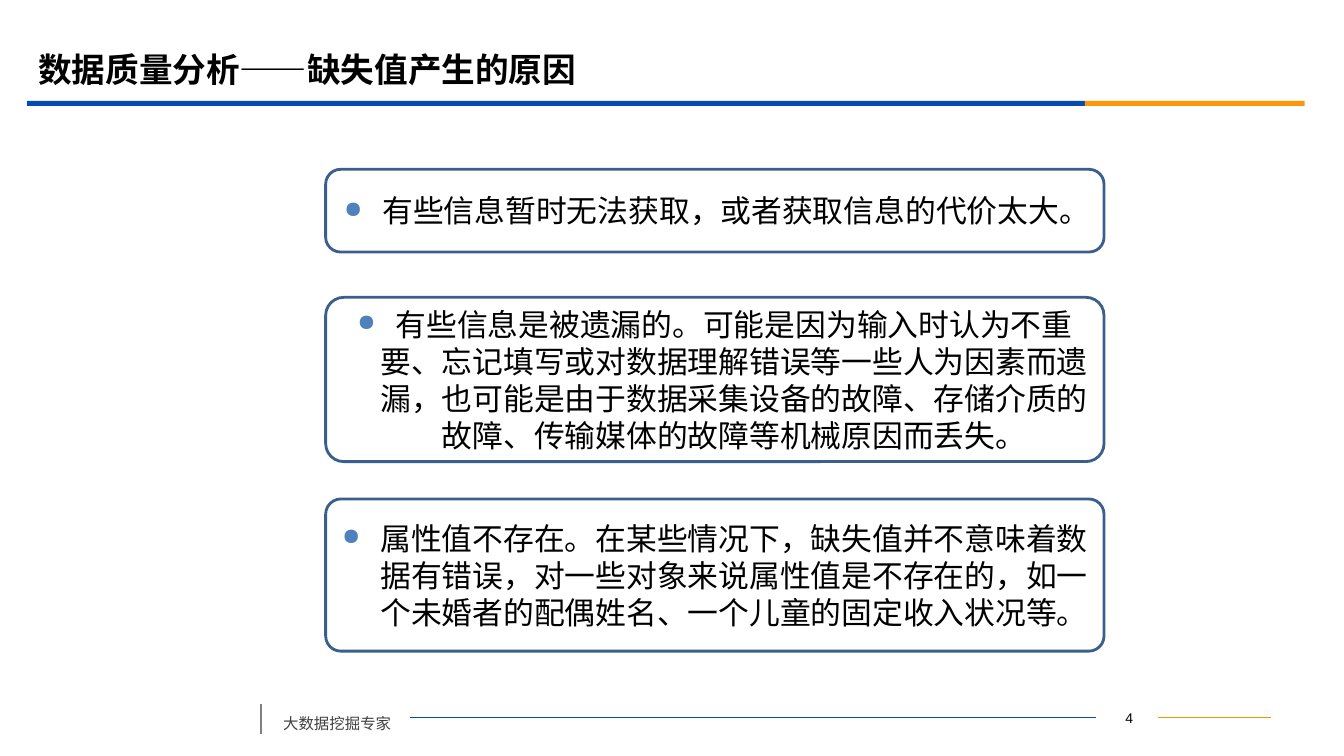
import dataclasses

import lxml.etree
import pptx
import pptx.dml.color
import pptx.enum.shapes
import pptx.enum.text
import pptx.oxml
import pptx.oxml.ns
import pptx.util

Inches = pptx.util.Inches
Pt = pptx.util.Pt
Align = pptx.enum.text.PP_ALIGN
Anchor = pptx.enum.text.MSO_ANCHOR
Shape = pptx.enum.shapes.MSO_SHAPE
qn = pptx.oxml.ns.qn

SANS = "Noto Sans CJK SC"
COLORS = {
    "blue": "064BB2",
    "orange": "FB9708",
    "amber": "F19500",
    "gray": "808080",
    "dark": "404040",
    "black": "000000",
    "frame": "3A5F8C",
    "bullet": "4F81BD",
}


@dataclasses.dataclass
class Bar:
    left: float
    width: float
    color: str


@dataclasses.dataclass
class Rule:
    start: tuple[float, float]
    end: tuple[float, float]
    color: str
    weight: float


@dataclasses.dataclass
class Cause:
    top: float
    height: float
    round: float
    align: Align
    text: str


BARS = [Bar(0.27, 10.49, "blue"), Bar(10.76, 2.18, "orange")]
RULES = [
    Rule((11.49, 7.12), (12.61, 7.12), "amber", 0.75),
    Rule((4.07, 7.12), (10.87, 7.12), "blue", 0.75),
    Rule((2.59, 6.98), (2.59, 7.28), "gray", 1.25),
]
CAUSES = [
    Cause(1.68, 0.82, 0.18, Align.RIGHT,
          "有些信息暂时无法获取，或者获取信息的代价太大。"),
    Cause(2.95, 1.63, 0.11, Align.CENTER,
          "有些信息是被遗漏的。可能是因为输入时认为不重要、忘记填写或对数据理解错误等一些人为因素而遗漏，"
          "也可能是由于数据采集设备的故障、存储介质的故障、传输媒体的故障等机械原因而丢失。"),
    Cause(4.95, 1.51, 0.1, Align.CENTER,
          "属性值不存在。在某些情况下，缺失值并不意味着数据有错误，对一些对象来说属性值是不存在的，"
          "如一个未婚者的配偶姓名、一个儿童的固定收入状况等。"),
]


def tint(name: str) -> pptx.dml.color.RGBColor:
    return pptx.dml.color.RGBColor.from_string(COLORS[name])


def style(para, face: str, size: float, color: str, bold: bool = False) -> None:
    font = para.font
    font.name, font.size, font.bold = face, Pt(size), bold
    font.color.rgb = tint(color)
    if face == SANS:
        props = para._p.pPr.find(qn("a:defRPr"))
        lxml.etree.SubElement(props, qn("a:ea"), typeface=face)


def add_dot(para) -> None:
    props = para._p.get_or_add_pPr()
    props.set("marL", str(Inches(0.38)))
    props.set("indent", str(Inches(-0.38)))
    props.set("hangingPunct", "0")
    color = lxml.etree.SubElement(props, qn("a:buClr"))
    lxml.etree.SubElement(color, qn("a:srgbClr"), val=COLORS["bullet"])
    lxml.etree.SubElement(props, qn("a:buSzPct"), val="75000")
    lxml.etree.SubElement(props, qn("a:buChar"), char="●")


def add_bar(slide, bar: Bar) -> None:
    shape = slide.shapes.add_shape(
        Shape.RECTANGLE, Inches(bar.left), Inches(1), Inches(bar.width), Inches(0.05))
    shape.shadow.inherit = False
    shape.fill.solid()
    shape.fill.fore_color.rgb = tint(bar.color)
    shape.line.fill.background()


def add_rule(slide, rule: Rule) -> None:
    points = [Inches(value) for value in rule.start + rule.end]
    line = slide.shapes.add_connector(pptx.enum.shapes.MSO_CONNECTOR.STRAIGHT, *points)
    line.line.color.rgb = tint(rule.color)
    line.line.width = Pt(rule.weight)
    lxml.etree.SubElement(line._element.spPr, qn("a:effectLst"))


def add_text(slide, left: float, top: float, width: float, height: float, text: str):
    box = slide.shapes.add_textbox(
        Inches(left), Inches(top), Inches(width), Inches(height))
    box.text_frame.word_wrap = True
    box.text_frame.text = text
    return box.text_frame


def add_cause(slide, cause: Cause) -> None:
    shape = slide.shapes.add_shape(
        Shape.ROUNDED_RECTANGLE,
        Inches(3.23), Inches(cause.top), Inches(7.72), Inches(cause.height))
    shape.adjustments[0] = cause.round
    shape.shadow.inherit = False
    shape.fill.background()
    shape.line.color.rgb = tint("frame")
    shape.line.width = Pt(2)
    frame = shape.text_frame
    frame.word_wrap = True
    frame.vertical_anchor = Anchor.MIDDLE
    frame.text = cause.text
    para = frame.paragraphs[0]
    para.alignment = cause.align
    add_dot(para)
    style(para, SANS, 22, "black")


def add_title(slide) -> None:
    title = slide.shapes.title
    title.left, title.top = Inches(0.28), Inches(0.4)
    title.width, title.height = Inches(12), Inches(0.58)
    frame = title.text_frame
    frame.text = "数据质量分析——缺失值产生的原因"
    frame.vertical_anchor = Anchor.MIDDLE
    para = frame.paragraphs[0]
    para.alignment = Align.LEFT
    style(para, "Times New Roman", 24, "black", True)


def add_footer(slide) -> None:
    page = add_text(slide, 10.89, 7, 0.62, 0.25, "4")
    page.vertical_anchor = Anchor.MIDDLE
    page.paragraphs[0].alignment = Align.CENTER
    style(page.paragraphs[0], "Arial", 10, "black")
    para = add_text(slide, 2.71, 6.94, 1.36, 0.38, "大数据挖掘专家").paragraphs[0]
    para.line_spacing = 1.5
    para.space_before = Pt(6)
    style(para, SANS, 11, "dark")


def main() -> None:
    deck = pptx.Presentation()
    deck.slide_width, deck.slide_height = Inches(13.33), Inches(7.5)
    slide = deck.slides.add_slide(deck.slide_layouts.get_by_name("Title Only"))
    add_title(slide)
    for bar in BARS:
        add_bar(slide, bar)
    for rule in RULES:
        add_rule(slide, rule)
    add_footer(slide)
    for cause in CAUSES:
        add_cause(slide, cause)
    deck.save("out.pptx")


if __name__ == "__main__":
    main()
